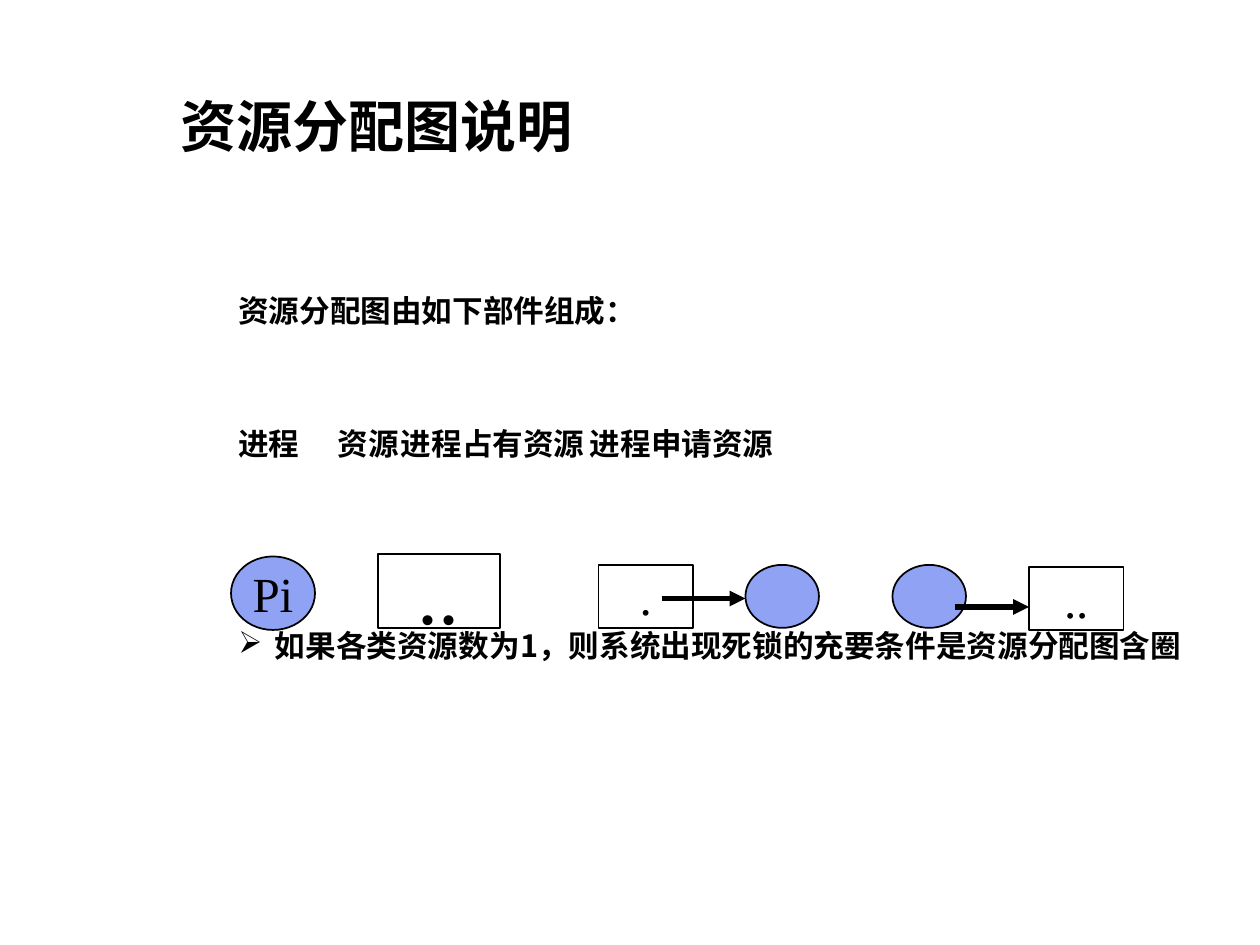
"""Build the slide that explains the parts of a resource allocation graph."""
from dataclasses import dataclass

from lxml.etree import SubElement
from pptx import Presentation
from pptx.dml.color import RGBColor
from pptx.enum.shapes import MSO_CONNECTOR as Connector, MSO_SHAPE as Preset
from pptx.enum.text import MSO_ANCHOR as Anchor, PP_ALIGN as Align
from pptx.oxml.ns import qn
from pptx.util import Inches, Pt

COLORS = {"ink": "000000", "process": "8FA2F3", "resource": "FFFFFF"}
FONTS = {"heading": "Noto Sans CJK SC", "symbol": "Times New Roman"}
CELL = Inches(1) // 12
COLUMNS, ROWS = 120, 90
LABEL_TABS = (0.47, 1, 2.62)


@dataclass(frozen=True)
class Node:
    """A process ellipse or resource rectangle, measured in grid cells."""
    kind: str
    column: float
    row: float
    width: float
    height: float
    text: str = ""
    size: float = 28


@dataclass(frozen=True)
class Arrow:
    """A horizontal arrow, measured in grid cells."""
    start: float
    end: float
    row: float


PARTS = (
    Node("process", 22, 53, 8, 7, "Pi"),
    Node("resource", 36, 52.8, 11.6, 7, "..", 48),
    Node("resource", 57, 53.8, 9, 6, "."),
    Node("process", 71, 53.8, 7, 6),
    Arrow(63, 71, 57),
    Node("process", 85, 53.8, 7, 6),
    Arrow(91, 98, 57.8),
    Node("resource", 98, 54, 9, 6, ".."),
)


def cells(*counts: float) -> list[int]:
    return [round(count * CELL) for count in counts]


def color(name: str) -> RGBColor:
    return RGBColor.from_string(COLORS[name])


def write(paragraph, text: str, *, size: float, font: str = "heading", bold: bool = False,
          align=Align.LEFT, before: float = 0, spacing: float = 1, hanging: bool = False,
          bullet: str = "", tabs: tuple = ()) -> None:
    paragraph.alignment = align
    paragraph.line_spacing = spacing
    if before:
        paragraph.space_before = Pt(before)
    properties = paragraph._p.get_or_add_pPr()
    if hanging:
        properties.set("marL", str(Inches(0.75)))
        properties.set("indent", str(Inches(-0.29)))
    if bullet:
        SubElement(properties, qn("a:buChar"), char=bullet)
    if tabs:
        tab_list = SubElement(properties, qn("a:tabLst"))
        for position in tabs:
            SubElement(tab_list, qn("a:tab"), pos=str(Inches(position)), algn="l")
    run = paragraph.add_run()
    run.text = text
    run.font.size = Pt(size)
    run.font.bold = bold
    run.font.name = FONTS[font]
    run.font.color.rgb = color("ink")
    SubElement(run._r.get_or_add_rPr(), qn("a:ea"), typeface=FONTS[font])


def add_frame(slide, column: float, row: float, width: float, height: float, anchor):
    frame = slide.shapes.add_textbox(*cells(column, row, width, height)).text_frame
    frame.word_wrap = True
    frame.vertical_anchor = anchor
    return frame


def draw_node(slide, node: Node) -> None:
    preset = Preset.OVAL if node.kind == "process" else Preset.RECTANGLE
    shape = slide.shapes.add_shape(preset, *cells(node.column, node.row, node.width, node.height))
    shape.shadow.inherit = False
    shape.fill.solid()
    shape.fill.fore_color.rgb = color(node.kind)
    shape.line.color.rgb = color("ink")
    shape.line.width = Pt(1)
    if node.text:
        frame = shape.text_frame
        frame.word_wrap = False
        frame.vertical_anchor = Anchor.MIDDLE
        write(frame.paragraphs[0], node.text, size=node.size, font="symbol", align=Align.CENTER)


def draw_arrow(slide, arrow: Arrow) -> None:
    connector = slide.shapes.add_connector(
        Connector.STRAIGHT, *cells(arrow.start, arrow.row, arrow.end, arrow.row))
    connector.line.color.rgb = color("ink")
    connector.line.width = Pt(3)
    SubElement(connector.line._get_or_add_ln(), qn("a:tailEnd"), type="triangle")
    SubElement(connector._element.spPr, qn("a:effectLst"))


def main() -> None:
    presentation = Presentation()
    presentation.slide_width, presentation.slide_height = cells(COLUMNS, ROWS)
    slide = presentation.slides.add_slide(presentation.slide_layouts[6])

    title = add_frame(slide, 16, 4, 102, 15.8, Anchor.MIDDLE)
    write(title.paragraphs[0], "资源分配图说明", size=32, bold=True)

    body = add_frame(slide, 16, 27.6, 102, 59.4, Anchor.TOP)
    style = dict(size=17.5, bold=True, spacing=0.9, hanging=True)
    write(body.paragraphs[0], "资源分配图由如下部件组成：", **style)
    write(body.add_paragraph(), "进程\t资源\t进程占有资源\t进程申请资源",
          before=57.2, tabs=LABEL_TABS, **style)
    write(body.add_paragraph(), "如果各类资源数为1，则系统出现死锁的充要条件是资源分配图含圈",
          before=96.6, bullet="➢", **style)

    for part in PARTS:
        if isinstance(part, Node):
            draw_node(slide, part)
        else:
            draw_arrow(slide, part)
    presentation.save("out.pptx")


if __name__ == "__main__":
    main()
